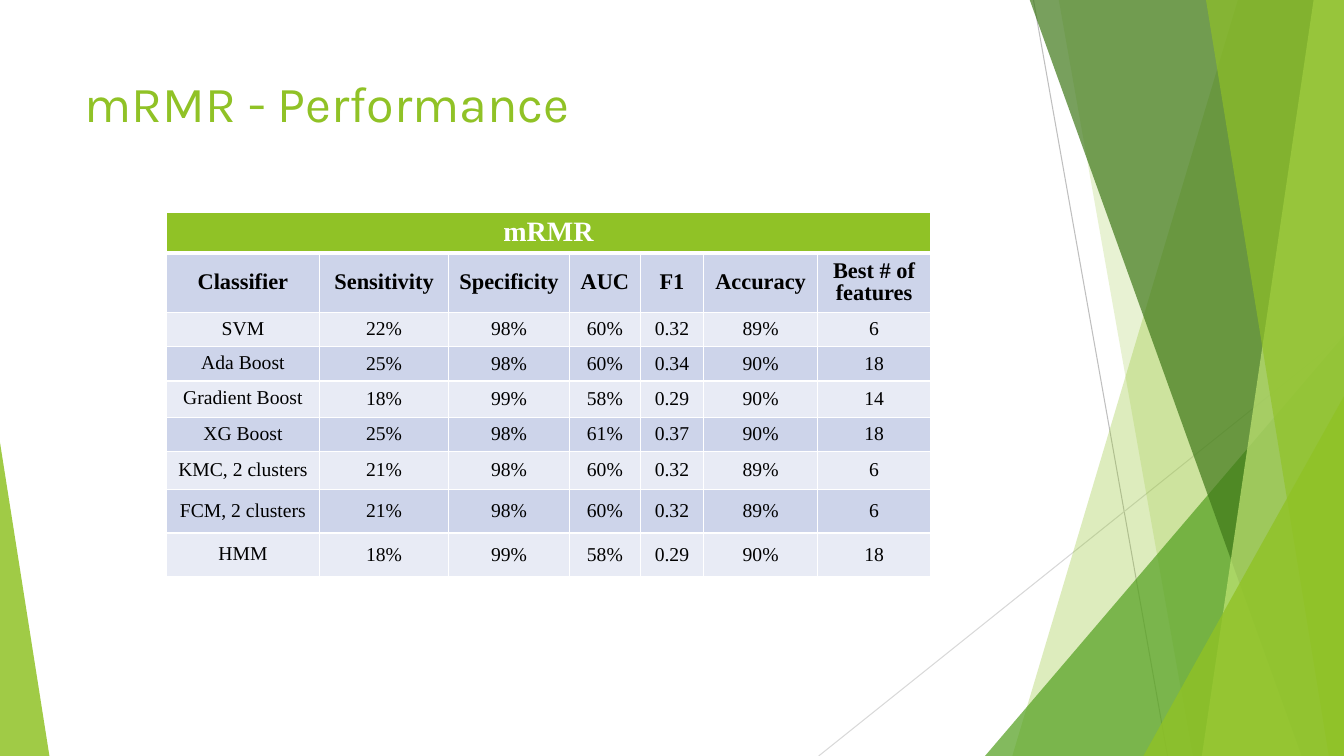
from lxml import etree
from pptx import Presentation
from pptx.dml.color import RGBColor
from pptx.enum import shapes, text
from pptx.oxml import ns
from pptx.util import Inches, Pt

WHITE = RGBColor(0xFF, 0xFF, 0xFF)
BLACK = RGBColor(0x00, 0x00, 0x00)
LIME = RGBColor(0x90, 0xC2, 0x26)
PALE_LIME = RGBColor(0xC0, 0xE4, 0x74)
GREEN = RGBColor(0x54, 0xA0, 0x21)
DARK_GREEN = RGBColor(0x3F, 0x78, 0x19)
GREY = RGBColor(0xBF, 0xBF, 0xBF)
LIGHT_GREY = RGBColor(0xD9, 0xD9, 0xD9)
BAND_DARK = RGBColor(0xCD, 0xD4, 0xEA)
BAND_LIGHT = RGBColor(0xE8, 0xEB, 0xF5)

WIDTH, HEIGHT, TOP = 13.33, 7.5, -0.01
COLUMN_WIDTHS = [1.52, 1.28, 1.2, 0.7, 0.63, 1.13, 1.12]
ROW_HEIGHTS = [0.4, 0.59, 0.34, 0.34, 0.36, 0.34, 0.38, 0.43, 0.43]
HEADINGS = ["Classifier", "Sensitivity", "Specificity", "AUC", "F1", "Accuracy", "Best # of features"]
RESULTS = [
    ["SVM", "22%", "98%", "60%", "0.32", "89%", "6"],
    ["Ada Boost", "25%", "98%", "60%", "0.34", "90%", "18"],
    ["Gradient Boost", "18%", "99%", "58%", "0.29", "90%", "14"],
    ["XG Boost", "25%", "98%", "61%", "0.37", "90%", "18"],
    ["KMC, 2 clusters", "21%", "98%", "60%", "0.32", "89%", "6"],
    ["FCM, 2 clusters", "21%", "98%", "60%", "0.32", "89%", "6"],
    ["HMM", "18%", "99%", "58%", "0.29", "90%", "18"],
]


def add_line(slide, start, end, color):
    """Draw a thin straight line without a shadow."""
    line = slide.shapes.add_connector(
        shapes.MSO_CONNECTOR.STRAIGHT, *(Inches(value) for value in start + end))
    line.line.color.rgb = color
    line.line.width = Pt(0.75)
    etree.SubElement(line._element.spPr, ns.qn("a:effectLst"))


def paint(shape, color, opacity):
    """Fill a shape with a translucent colour and no outline."""
    shape.shadow.inherit = False
    shape.line.fill.background()
    shape.fill.solid()
    shape.fill.fore_color.rgb = color
    color_element = shape._element.spPr.find(".//" + ns.qn("a:srgbClr"))
    etree.SubElement(color_element, ns.qn("a:alpha"), val=str(opacity * 1000))


def add_facet(slide, top_left, bottom_left, color, opacity):
    """Draw a full-height facet that reaches the right edge of the slide."""
    corners = [(top_left, TOP), (WIDTH, TOP), (WIDTH, HEIGHT), (bottom_left, HEIGHT)]
    points = [(Inches(x), Inches(y)) for x, y in corners]
    builder = slide.shapes.build_freeform(*points[0])
    builder.add_line_segments(points[1:], close=True)
    paint(builder.convert_to_shape(), color, opacity)


def add_triangle(slide, left, top, width, apex, color, opacity):
    """Draw a triangle that stands on the bottom edge of the slide."""
    triangle = slide.shapes.add_shape(
        shapes.MSO_SHAPE.ISOSCELES_TRIANGLE,
        Inches(left), Inches(top), Inches(width), Inches(HEIGHT - top))
    triangle.adjustments[0] = apex
    paint(triangle, color, opacity)


def add_decoration(slide):
    """Draw the green facets and thin lines around the content."""
    add_line(slide, (10.25, 0), (11.58, HEIGHT), GREY)
    add_line(slide, (WIDTH, 4.03 - 0.7), (8.12, HEIGHT), LIGHT_GREY)
    add_facet(slide, 12.28, 10.04, LIME, 30)
    add_facet(slide, 10.5, 11.83, LIME, 20)
    add_triangle(slide, 9.77, 3.33, 3.56, 1, GREEN, 72)
    add_facet(slide, 10.21, 12.91, DARK_GREEN, 70)
    add_facet(slide, 13.03, 11.92, PALE_LIME, 70)
    add_facet(slide, 11.96, 13.18, LIME, 65)
    add_triangle(slide, 11.34, 3.93, 1.99, 1, LIME, 80)
    add_triangle(slide, 0, 4.39, 0.49, 0, LIME, 85)


def set_borders(cell, bottom_width):
    """Give a cell white borders."""
    properties = cell._tc.get_or_add_tcPr()
    sides = {"lnL": 1, "lnR": 1, "lnT": 1, "lnB": bottom_width}
    for index, (side, width) in enumerate(sides.items()):
        border = etree.Element(ns.qn("a:" + side), w=str(Pt(width)))
        fill = etree.SubElement(border, ns.qn("a:solidFill"))
        etree.SubElement(fill, ns.qn("a:srgbClr"), val=str(WHITE))
        properties.insert(index, border)


def format_cell(cell, words, fill, size, color, bold, tight):
    """Write centred text in a filled cell."""
    cell.text = words
    cell.fill.solid()
    cell.fill.fore_color.rgb = fill
    cell.vertical_anchor = text.MSO_ANCHOR.MIDDLE
    cell.margin_left = cell.margin_right = Inches(0.01 if tight else 0.1)
    cell.margin_top = Inches(0.01 if tight else 0.05)
    cell.margin_bottom = Inches(0 if tight else 0.05)
    paragraph = cell.text_frame.paragraphs[0]
    paragraph.alignment = text.PP_ALIGN.CENTER
    paragraph.line_spacing = 0.9
    paragraph.font.name = "Times New Roman"
    paragraph.font.size = Pt(size)
    paragraph.font.bold = bold
    paragraph.font.color.rgb = color


def add_results_table(slide):
    """Add the table of classifier results."""
    table = slide.shapes.add_table(
        len(ROW_HEIGHTS), len(COLUMN_WIDTHS), Inches(1.65), Inches(2.11),
        Inches(sum(COLUMN_WIDTHS)), Inches(sum(ROW_HEIGHTS))).table
    table.horz_banding = False
    for column, width in zip(table.columns, COLUMN_WIDTHS):
        column.width = Inches(width)
    for row, height in zip(table.rows, ROW_HEIGHTS):
        row.height = Inches(height)
    for cell in table.iter_cells():
        set_borders(cell, 1)
    banner = table.cell(0, 0)
    banner.merge(table.cell(0, len(COLUMN_WIDTHS) - 1))
    banner._tc.tcPr.find(ns.qn("a:lnB")).set("w", str(Pt(3)))
    format_cell(banner, "mRMR", LIME, 20, WHITE, True, False)
    for row, values in enumerate([HEADINGS] + RESULTS, start=1):
        heading = row == 1
        fill = BAND_DARK if row % 2 else BAND_LIGHT
        for column, words in enumerate(values):
            format_cell(table.cell(row, column), words, fill, 16 if heading else 14,
                        BLACK, heading, not heading and column > 0)


def set_title(slide, words):
    """Place and format the slide title."""
    title = slide.shapes.title
    title.left, title.top = Inches(0.74), Inches(0.67)
    title.width, title.height = Inches(9.4), Inches(1.44)
    title.text_frame.text = words
    title.text_frame.vertical_anchor = text.MSO_ANCHOR.TOP
    paragraph = title.text_frame.paragraphs[0]
    paragraph.alignment = text.PP_ALIGN.LEFT
    paragraph.font.name = "Karla"
    paragraph.font.size = Pt(36)
    paragraph.font.color.rgb = LIME


def main():
    """Build and save the slide."""
    presentation = Presentation()
    presentation.slide_width = Inches(WIDTH)
    presentation.slide_height = Inches(HEIGHT)
    slide = presentation.slides.add_slide(presentation.slide_layouts[5])
    add_decoration(slide)
    add_results_table(slide)
    set_title(slide, "mRMR - Performance")
    presentation.save("out.pptx")


if __name__ == "__main__":
    main()
